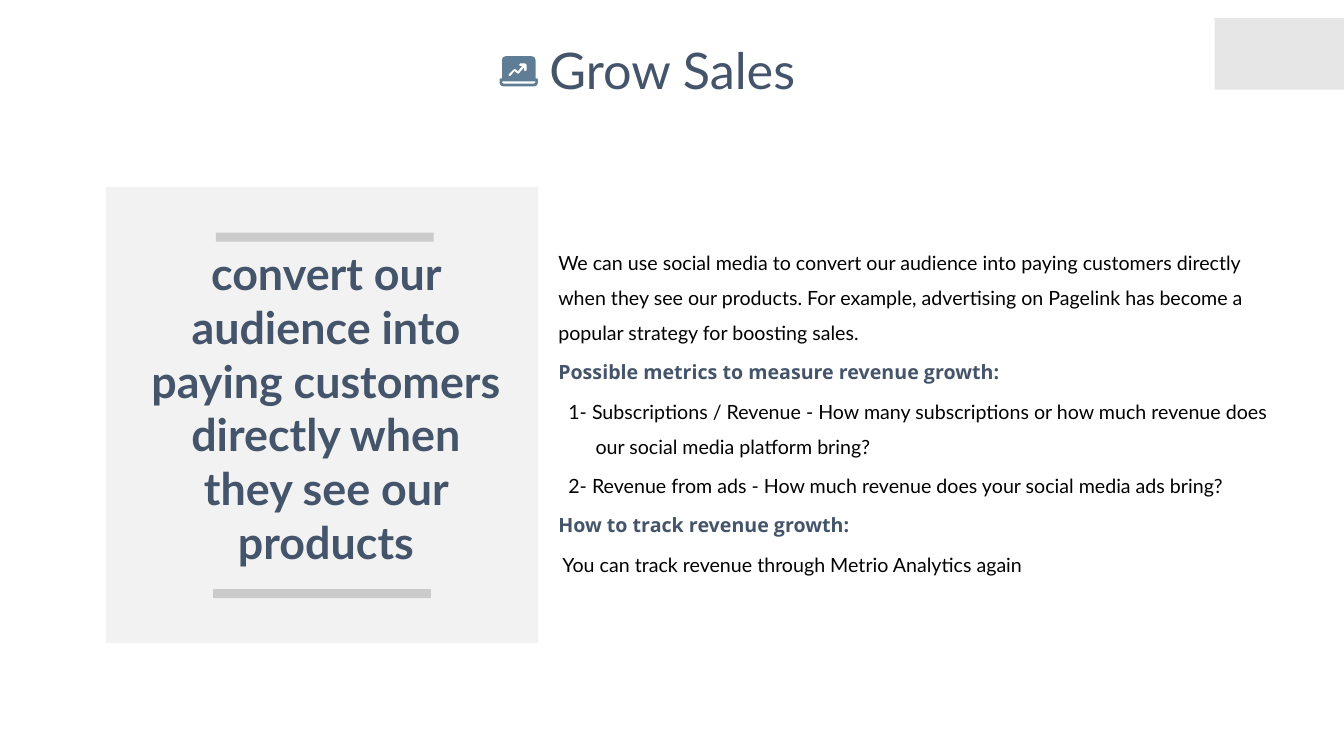
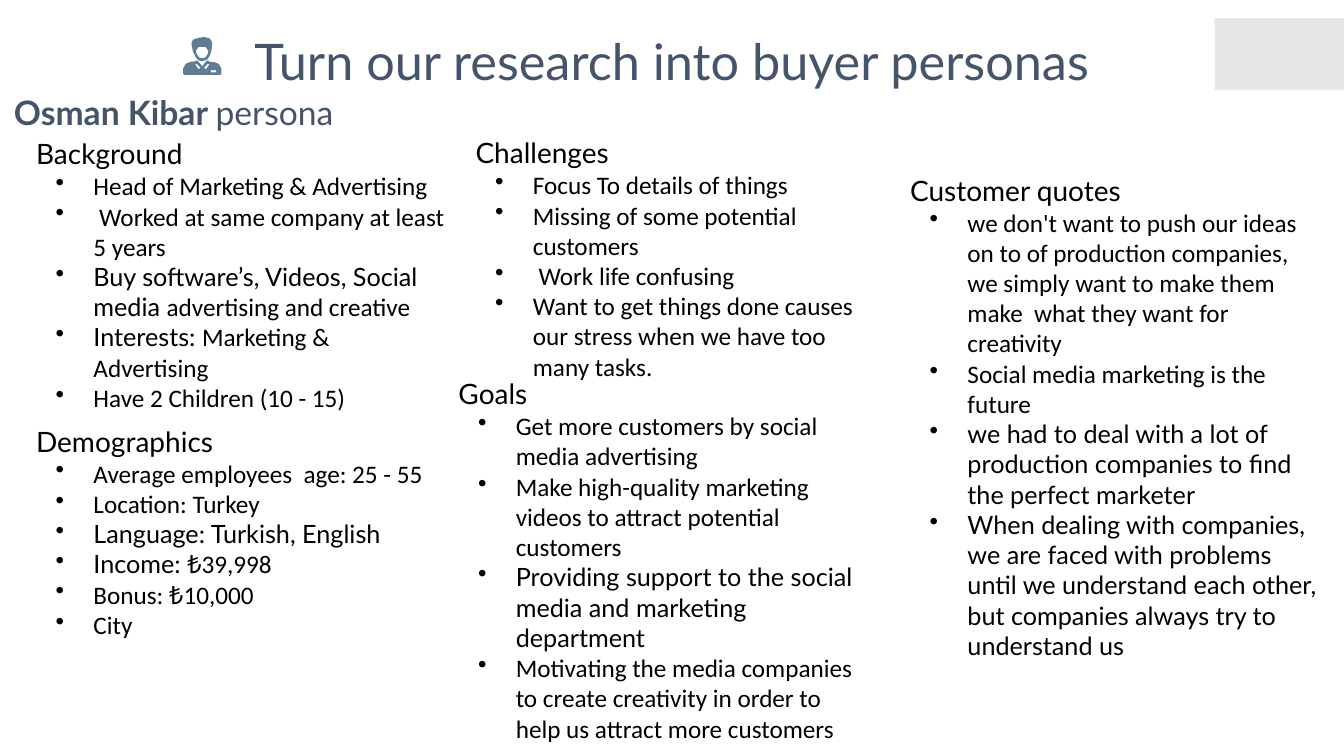
from lxml import etree
from pptx import Presentation
from pptx.dml.color import RGBColor
from pptx.enum.shapes import MSO_SHAPE
from pptx.enum.text import PP_ALIGN
from pptx.oxml.ns import qn
from pptx.util import Pt

RECT = MSO_SHAPE.RECTANGLE
CENTER = PP_ALIGN.CENTER
LATO, OPEN, CALI = "Lato", "Open Sans", "Calibri"
NAVY, BLACK, STEEL = "44546A", "000000", "5F7D95"
PALE, LIGHT, GREY = "E7E6E6", "F2F2F2", "A5A5A5"


def paint(fill, shade):
    fill.solid()
    fill.fore_color.rgb = RGBColor.from_string(shade)


def write(page, place, lines, size, shade, side=7.2, top=3.6):
    """Add a text box; each line is a list of runs. Return its paragraphs."""
    frame = page.shapes.add_textbox(*map(Pt, place)).text_frame
    frame.word_wrap = True
    frame.margin_left = frame.margin_right = Pt(side)
    frame.margin_top = frame.margin_bottom = Pt(top)
    for i, runs in enumerate(lines):
        para = frame.add_paragraph() if i else frame.paragraphs[0]
        for text in runs:
            para.add_run().text = text
        para.font.name = LATO
        para.font.size = Pt(size)
        paint(para.font.fill, shade)
    return frame.paragraphs


deck = Presentation()
deck.slide_width, deck.slide_height = Pt(960), Pt(540)

# Icon outlines, in tenths of a point from the icon's corner
laptop = [
    [(18, 158), (18, 28), (21, 14), (29, 5), (44, 0), (230, 0), (245, 5),
     (253, 14), (257, 28), (257, 158), (268, 159), (274, 166), (274, 187),
     (270, 202), (260, 212), (245, 216), (29, 216), (14, 212), (4, 202),
     (0, 187), (0, 166), (6, 159)],
    [(18, 180), (257, 180), (255, 190), (245, 196), (29, 196), (20, 190)],
    [(184, 52), (194, 60), (194, 101), (184, 108), (175, 101), (175, 82),
     (140, 122), (132, 125), (124, 122), (108, 106), (81, 139), (74, 142),
     (66, 138), (66, 128), (102, 93), (108, 90), (116, 93), (131, 107),
     (160, 71), (146, 71), (138, 63), (146, 52)],
]
head = [
    [(151, 0), (112, 5), (104, 8), (76, 16), (63, 32), (60, 50), (70, 101),
     (92, 148), (115, 168), (137, 173), (173, 160), (192, 130), (202, 101),
     (208, 50), (203, 28), (188, 8)],
    [(160, 70), (182, 101), (172, 130), (158, 146), (137, 151), (116, 146),
     (100, 128), (90, 101), (110, 70)],
]
lapel = [(95, 190), (124, 218), (112, 232), (86, 195)]
chest = [
    [(97, 166), (86, 174), (54, 177), (20, 190), (0, 225), (0, 262),
     (8, 271), (266, 271), (274, 262), (274, 225), (255, 192), (225, 180),
     (195, 178), (186, 174), (176, 166), (168, 170), (137, 208), (104, 170)],
    lapel,
    [(274 - x, y) for x, y in lapel],
    [(232, 237), (238, 244), (232, 252), (200, 252), (195, 244), (200, 237)],
]

# Shared parts: corner block, title and icon
pages = []
for title, place, spot, icon in (
    ("Grow Sales", (384.5, 25.9, 191.5, 47.5), (356.8, 40.2), [laptop]),
    ("Turn our research into buyer personas", (163.4, 19.4, 632.9, 47.5),
     (130.8, 26.5), [head, chest]),
):
    page = deck.slides.add_slide(deck.slide_layouts[6])
    pages.append(page)
    block = page.shapes.add_shape(RECT, Pt(867.6), Pt(13), Pt(92.4), Pt(51))
    block.shadow.inherit = False
    paint(block.fill, PALE)
    block.line.fill.background()
    write(page, place, [[title]], 36, NAVY, 3.6, 1.8)[0].alignment = CENTER
    for part in icon:
        pen = page.shapes.build_freeform(*part[0][0], scale=Pt(0.1))
        pen.add_line_segments(part[0][1:])
        for hole in part[1:]:
            pen.move_to(*hole[0])
            pen.add_line_segments(hole[1:])
        form = pen.convert_to_shape(*map(Pt, spot))
        form.shadow.inherit = False
        paint(form.fill, STEEL)
        form.line.fill.background()

sales, buyer = pages

# Slide 1: quote panel with two bars
for place, shade, alpha in (
    ((75.6, 133.4, 308.9, 326), LIGHT, 100),
    ((154.3, 166.1, 155.5, 6.5), GREY, 50),
    ((152.3, 420.8, 155.5, 6.5), GREY, 50),
):
    bar = sales.shapes.add_shape(RECT, *map(Pt, place))
    bar.shadow.inherit = False
    paint(bar.fill, shade)
    bar.line.fill.background()
    if alpha < 100:
        tint = bar.fill._xPr.find(".//" + qn("a:srgbClr"))
        etree.SubElement(tint, qn("a:alpha")).set("val", str(alpha * 1000))
quote = write(sales, (95, 172.1, 275.8, 239.8), [[
    "convert our audience into paying customers directly when they see "
    "our products"]], 32, NAVY)[0]
quote.alignment = CENTER
quote.font.bold = True

# Slide 1: body text, each line with its left margin and first indent
body = [
    ("We can use social media to convert our audience into paying customers "
     "directly when they see our products. For example, advertising on "
     "Pagelink has become a popular strategy for boosting sales.", 0, 0),
    ("Possible metrics to measure revenue growth:", 0, 0),
    ("1- Subscriptions / Revenue - How many subscriptions or how much "
     "revenue does our social media platform bring?", 26.6, -19.4),
    ("2- Revenue from ads - How much revenue does your social media ads "
     "bring?", 26.6, -19.4),
    ("How to track revenue growth:", 0, 0),
    ("You can track revenue through Metrio Analytics again", 3, 0),
]
paras = write(sales, (390.2, 166.3, 531.4, 251.3),
              [[text] for text, *_ in body], 14, BLACK, 8.6, 4.3)
for i, (para, (text, left, first)) in enumerate(zip(paras, body)):
    para.line_spacing = 1.5
    if i:
        para.space_before = Pt(2.8)
    props = para._p.get_or_add_pPr()
    props.set("marL", str(Pt(left)))
    props.set("indent", str(Pt(first)))
    if text.endswith("growth:"):
        para.font.name = OPEN
        para.font.bold = True
        paint(para.font.fill, NAVY)

# Slide 2: persona name
name = write(buyer, (1.4, 46.8, 948.2, 46.8), [["Osman Kibar ", "persona"]],
             24, NAVY, 8.6, 4.3)[0]
name.line_spacing = 1.5
name.runs[0].font.bold = True

# Slide 2: lists, each item as its Lato part and its Calibri part
lists = [
    ("Background", (18.7, 94.3, 306.7, 227.5), [
        ("", "Head of Marketing & Advertising"),
        ("", " Worked at same company at least 5 years"),
        ("Buy software’s, Videos, Social media ", "advertising and creative"),
        ("Interests: ", "Marketing & Advertising"),
        ("", "Have 2 Children (10 - 15)")]),
    ("Demographics", (18.7, 299.5, 306.7, 162.7), [
        ("", "Average employees  age: 25 - 55"),
        ("", "Location: Turkey"),
        ("Language: Turkish, English", ""),
        ("Income: ", "₺39,998"),
        ("", "Bonus: ₺10,000"),
        ("", "City")]),
    ("Goals", (320.4, 265.7, 306.7, 293), [
        ("", "Get more customers by social media advertising"),
        ("", "Make high-quality marketing videos to attract potential "
             "customers"),
        ("Providing support to the social media and marketing department",
         ""),
        ("", "Motivating the media companies to create creativity in order "
             "to help us attract more customers")]),
    ("Challenges", (332.6, 93.6, 306.7, 205.9), [
        ("", "Focus To details of things"),
        ("", "Missing of some potential customers"),
        ("", " Work life confusing"),
        ("", "Want to get things done causes our stress when we have too "
             "many tasks.")]),
    ("Customer quotes", (643, 120.2, 306.7, 358.6), [
        ("", "we don't want to push our ideas on to of production companies, "
             "we simply want to make them make  what they want for "
             "creativity"),
        ("", "Social media marketing is the future"),
        ("we had to deal with a lot of production companies to find the "
         "perfect marketer", ""),
        ("When dealing with companies, we are faced with problems until we "
         "understand each other, but companies always try to understand us",
         "")]),
]
for topic, place, items in lists:
    lines = [[topic]] + [[text for text in item if text] for item in items]
    paras = write(buyer, place, lines, 18, BLACK)
    paras[0].font.size = Pt(20)
    for para, (lead, tail) in zip(paras[1:], items):
        props = para._p.get_or_add_pPr()
        props.set("marL", str(Pt(41)))
        props.set("indent", str(Pt(-27)))
        dot = etree.Element(qn("a:buChar"), char="•")
        props.insert(0, dot)
        if not lead:
            para.font.name = CALI
        elif tail:
            para.runs[1].font.name = CALI

deck.save("out.pptx")
